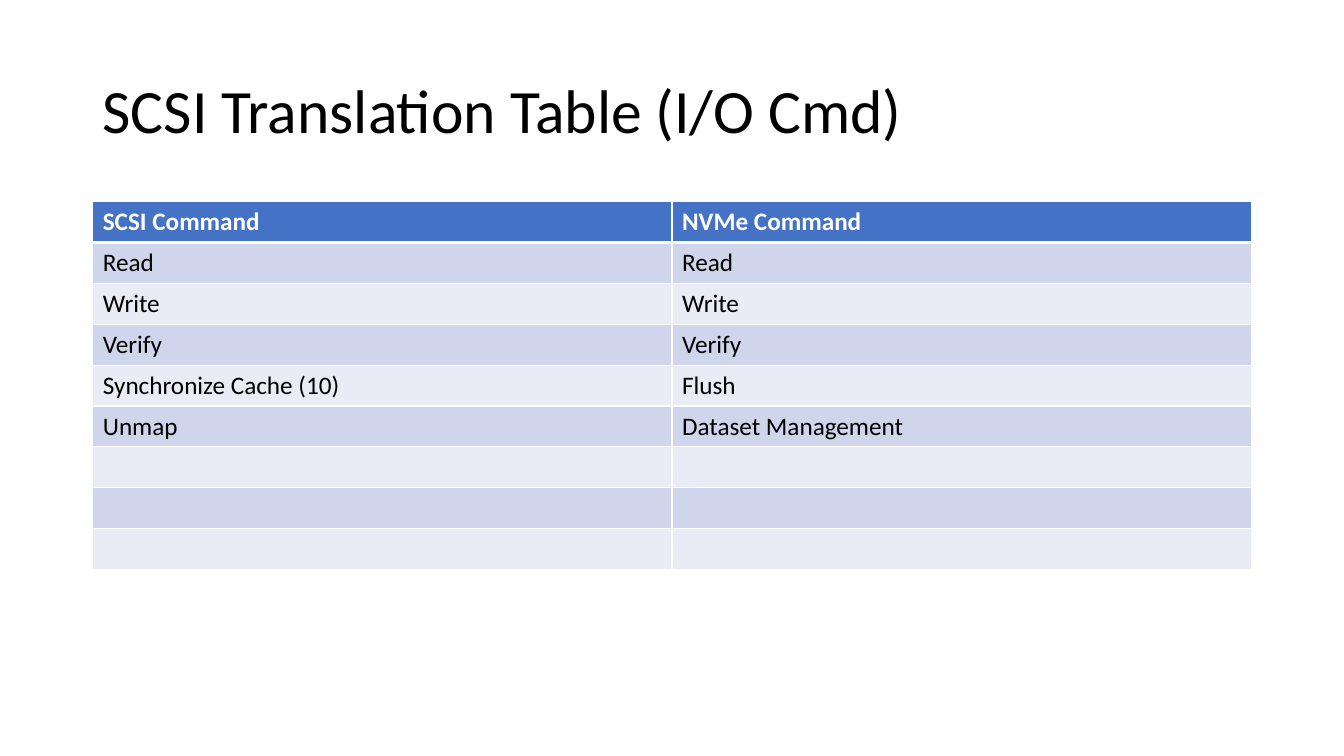
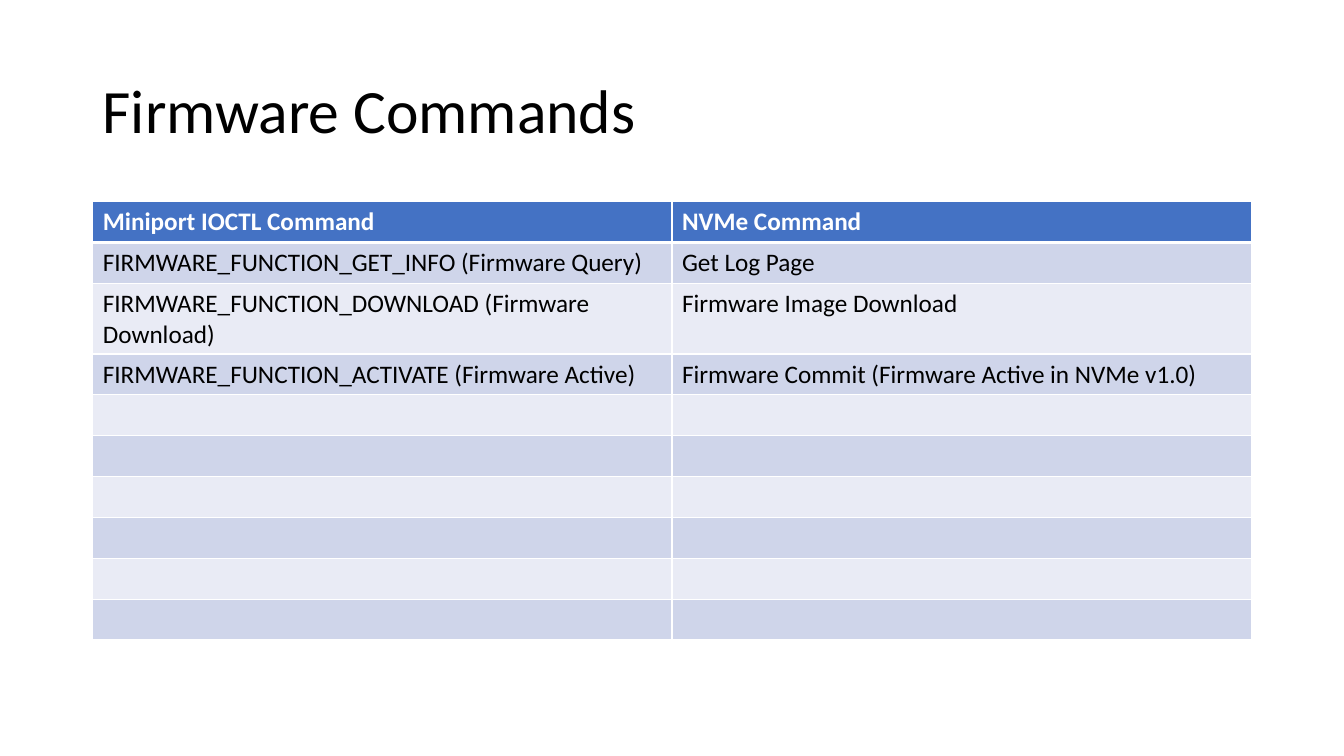
from dataclasses import dataclass
from typing import NamedTuple

from lxml.etree import SubElement
from pptx import Presentation
from pptx.dml.color import RGBColor
from pptx.enum.text import MSO_ANCHOR
from pptx.oxml.ns import qn
from pptx.util import Inches, Pt


@dataclass(frozen=True)
class Theme:
    font: str = "Calibri"
    title_size: int = 44
    table_size: int = 18
    text: str = "000000"
    header_text: str = "FFFFFF"
    header_fill: str = "4472C4"
    bands: tuple = ("CFD5EA", "E9EBF5")
    border: str = "FFFFFF"
    thin_border: int = 1
    header_border: int = 3


class Box(NamedTuple):
    left: int
    top: int
    width: int
    height: int


THEME = Theme()
SLIDE_WIDTH, SLIDE_HEIGHT = Inches(13.33), Inches(7.5)
MARGIN = Inches(0.92)
CONTENT_WIDTH = SLIDE_WIDTH - 2 * MARGIN
TITLE_BOX = Box(MARGIN, Inches(0.4), CONTENT_WIDTH, Inches(1.45))
TABLE_TOP = Inches(2)
ROW_HEIGHT = Inches(3.65) // 9

SLIDES = [
    (
        "SCSI Translation Table (I/O Cmd)",
        [
            ("SCSI Command", "NVMe Command"),
            ("Read", "Read"),
            ("Write", "Write"),
            ("Verify", "Verify"),
            ("Synchronize Cache (10)", "Flush"),
            ("Unmap", "Dataset Management"),
        ],
        3,
    ),
    (
        "Firmware Commands",
        [
            ("Miniport IOCTL Command", "NVMe Command"),
            ("FIRMWARE_FUNCTION_GET_INFO (Firmware Query)", "Get Log Page"),
            ("FIRMWARE_FUNCTION_DOWNLOAD (Firmware Download)", "Firmware Image Download"),
            ("FIRMWARE_FUNCTION_ACTIVATE (Firmware Active)",
             "Firmware Commit (Firmware Active in NVMe v1.0)"),
        ],
        6,
    ),
]


def style_font(font, size, color, bold=False):
    font.name = THEME.font
    font.size = Pt(size)
    font.bold = bold
    font.color.rgb = RGBColor.from_string(color)


def add_title(page, box, text):
    frame = page.shapes.add_textbox(*box).text_frame
    frame.word_wrap = True
    frame.vertical_anchor = MSO_ANCHOR.MIDDLE
    frame.text = text
    para = frame.paragraphs[0]
    para.line_spacing = 0.9
    style_font(para.runs[0].font, THEME.title_size, THEME.text)


def add_borders(cell, top, bottom):
    """Draw the cell's edges; call before filling, as the schema puts lines first."""
    properties = cell._tc.get_or_add_tcPr()
    widths = {"L": THEME.thin_border, "R": THEME.thin_border, "T": top, "B": bottom}
    for side, width in widths.items():
        line = SubElement(properties, qn(f"a:ln{side}"), w=str(Pt(width)))
        fill = SubElement(line, qn("a:solidFill"))
        SubElement(fill, qn("a:srgbClr"), val=THEME.border)


def style_cell(cell, row_index):
    is_header = row_index == 0
    add_borders(
        cell,
        top=THEME.header_border if row_index == 1 else THEME.thin_border,
        bottom=THEME.header_border if is_header else THEME.thin_border,
    )
    fill = THEME.header_fill if is_header else THEME.bands[(row_index - 1) % 2]
    cell.fill.solid()
    cell.fill.fore_color.rgb = RGBColor.from_string(fill)
    color = THEME.header_text if is_header else THEME.text
    for span in cell.text_frame.paragraphs[0].runs:
        style_font(span.font, THEME.table_size, color, is_header)


def add_command_table(page, box, rows):
    table = page.shapes.add_table(len(rows), len(rows[0]), *box).table
    table.horz_banding = False
    for row_index, values in enumerate(rows):
        for cell, value in zip(table.rows[row_index].cells, values):
            if value:
                cell.text_frame.text = value
            style_cell(cell, row_index)


def add_command_slide(deck, title, commands, spare_rows):
    page = deck.slides.add_slide(deck.slide_layouts[6])
    add_title(page, TITLE_BOX, title)
    rows = commands + [("", "")] * spare_rows
    table_box = Box(MARGIN, TABLE_TOP, CONTENT_WIDTH, ROW_HEIGHT * len(rows))
    add_command_table(page, table_box, rows)


def main():
    deck = Presentation()
    deck.slide_width, deck.slide_height = SLIDE_WIDTH, SLIDE_HEIGHT
    for title, commands, spare_rows in SLIDES:
        add_command_slide(deck, title, commands, spare_rows)
    deck.save("out.pptx")


if __name__ == "__main__":
    main()
